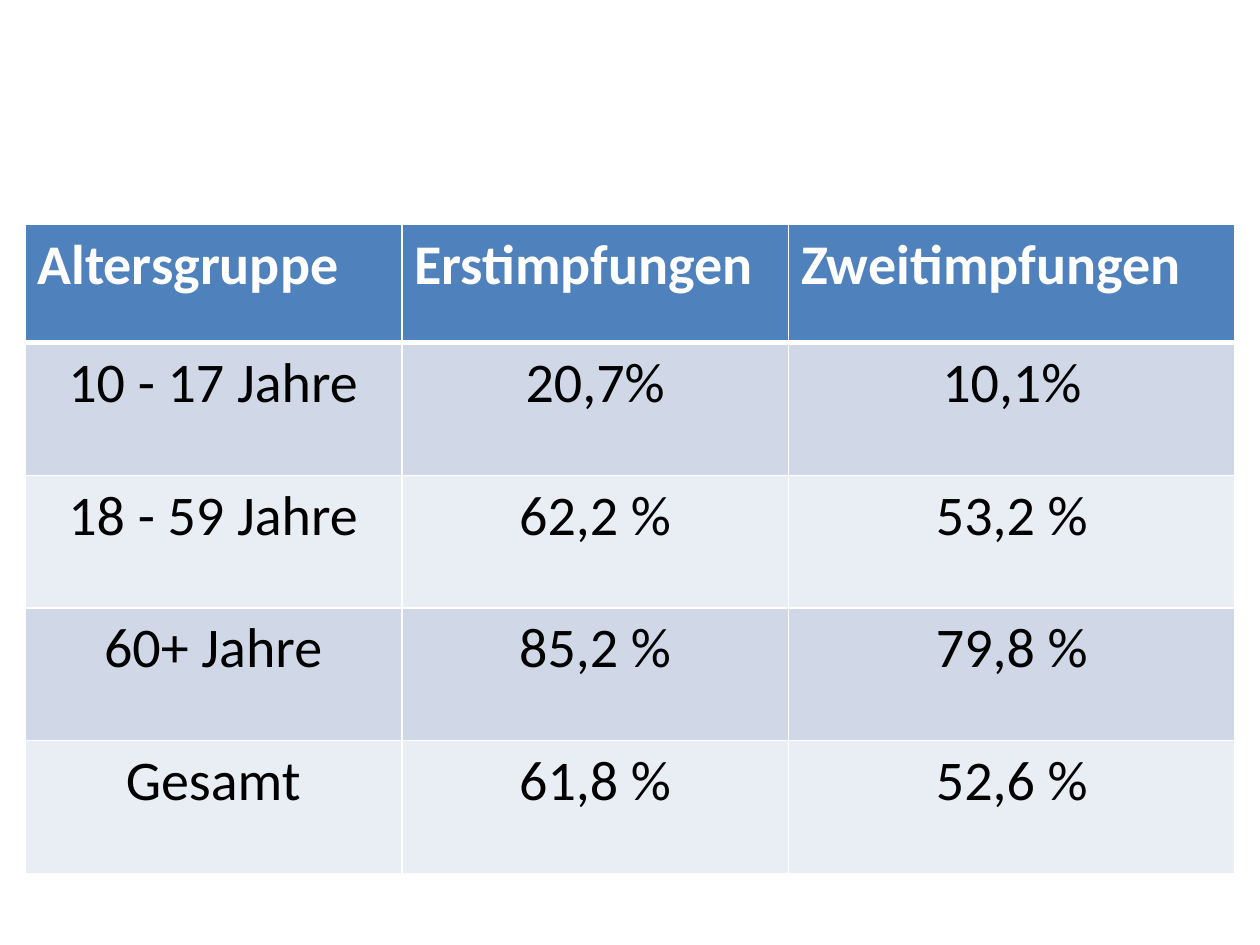
from dataclasses import dataclass

from lxml.etree import SubElement
from pptx import Presentation
from pptx.dml.color import RGBColor
from pptx.enum.text import PP_ALIGN
from pptx.oxml.ns import qn
from pptx.util import Cm, Pt


@dataclass(frozen=True)
class Theme:
    font: str = "Calibri"
    size: int = 32
    header_fill: str = "4F81BD"
    header_text: str = "FFFFFF"
    body_text: str = "000000"
    bands: tuple = ("D0D8E8", "E9EDF4")
    border: str = "FFFFFF"
    thin: int = 1
    thick: int = 3


THEME = Theme()

ROWS = [
    ("Altersgruppe", "Erstimpfungen", "Zweitimpfungen"),
    ("10 - 17 Jahre", "20,7%", "10,1%"),
    ("18 - 59 Jahre", "62,2 %", "53,2 %"),
    ("60+ Jahre", "85,2 %", "79,8 %"),
    ("Gesamt", "61,8 %", "52,6 %"),
]
COL_WIDTHS = (7.6, 7.8, 9.0)
HEADER_HEIGHT = 2.38


def set_borders(cell, widths):
    """Draw the cell's sides; must run before the fill, which follows in the XML."""
    tc_pr = cell._tc.get_or_add_tcPr()
    for side in ("L", "R", "T", "B"):
        ln = SubElement(tc_pr, qn(f"a:ln{side}"), w=str(Pt(widths.get(side, THEME.thin))))
        fill = SubElement(ln, qn("a:solidFill"))
        SubElement(fill, qn("a:srgbClr"), val=THEME.border)


def format_cell(cell, text, row):
    header = row == 0
    thick_side = {0: "B", 1: "T"}.get(row)
    set_borders(cell, {thick_side: THEME.thick})
    cell.fill.solid()
    fill = THEME.header_fill if header else THEME.bands[(row - 1) % 2]
    cell.fill.fore_color.rgb = RGBColor.from_string(fill)

    p = cell.text_frame.paragraphs[0]
    p.alignment = PP_ALIGN.LEFT if header else PP_ALIGN.CENTER
    r = p.add_run()
    r.text = text
    for name, value in {"name": THEME.font, "size": Pt(THEME.size), "bold": header}.items():
        setattr(r.font, name, value)
    color = THEME.header_text if header else THEME.body_text
    r.font.color.rgb = RGBColor.from_string(color)


def add_vaccination_table(s, left, top, width, height):
    table = s.shapes.add_table(
        len(ROWS), len(COL_WIDTHS), Cm(left), Cm(top), Cm(width), Cm(height)
    ).table
    for column, share in zip(table.columns, COL_WIDTHS):
        column.width = Cm(width * share / sum(COL_WIDTHS))
    body_height = (height - HEADER_HEIGHT) / (len(ROWS) - 1)
    for i, texts in enumerate(ROWS):
        table.rows[i].height = Cm(body_height if i else HEADER_HEIGHT)
        for j, text in enumerate(texts):
            format_cell(table.cell(i, j), text, i)


def main():
    prs = Presentation()
    prs.slide_width, prs.slide_height = Cm(25.4), Cm(19.05)
    s = prs.slides.add_slide(prs.slide_layouts[6])
    add_vaccination_table(s, left=0.5, top=4.53, width=24.4, height=13.08)
    prs.save("out.pptx")


if __name__ == "__main__":
    main()
